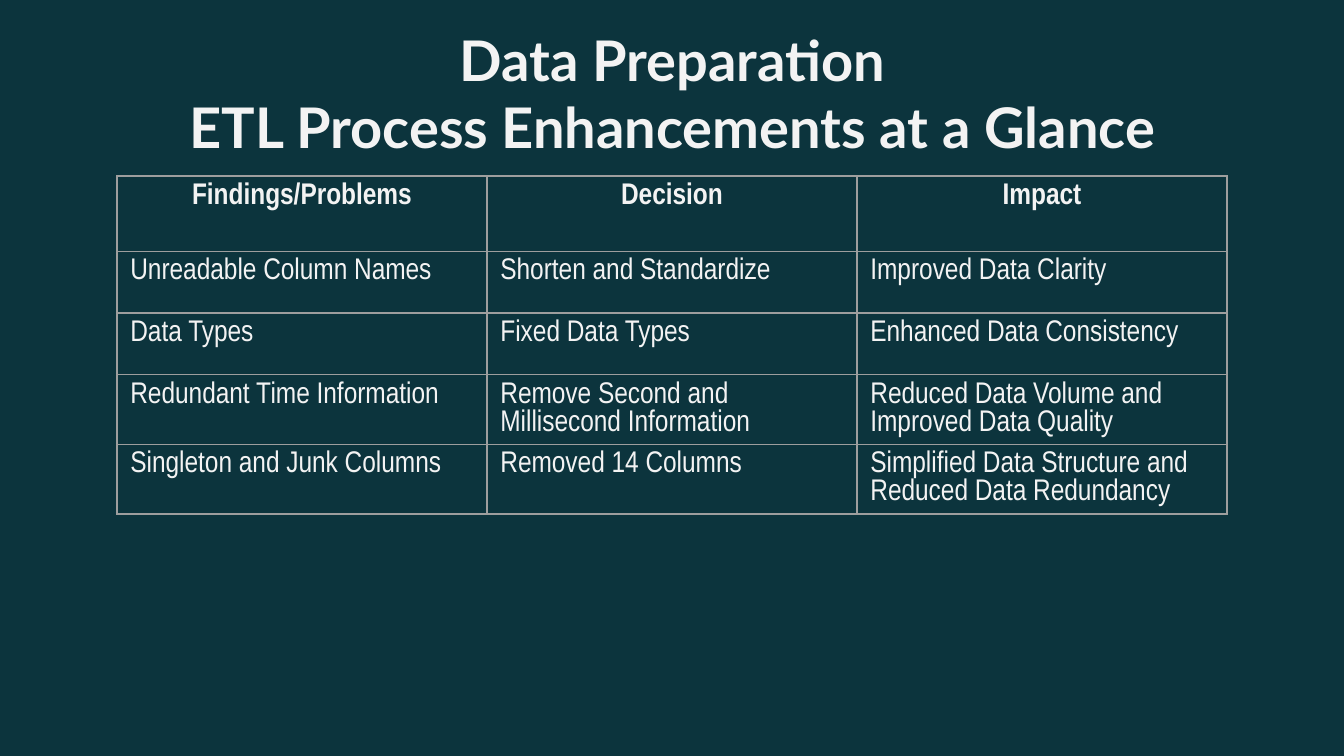
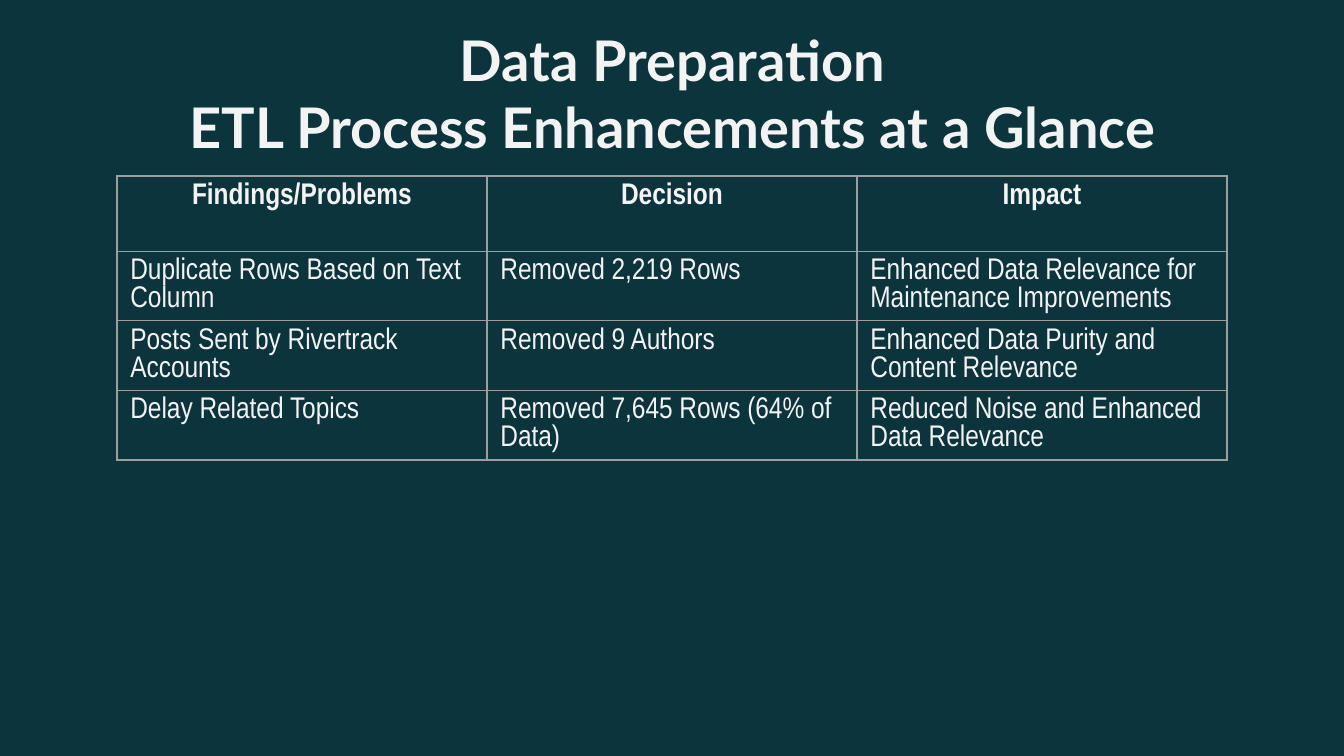
from lxml import etree
from pptx import Presentation
from pptx.dml.color import RGBColor
from pptx.enum.text import MSO_ANCHOR, MSO_AUTO_SIZE, PP_ALIGN
from pptx.oxml.ns import qn
from pptx.util import Inches, Pt

CENTER, LEFT = PP_ALIGN.CENTER, PP_ALIGN.LEFT
TOP = MSO_ANCHOR.TOP
NO_AUTOFIT = MSO_AUTO_SIZE.NONE

# Shared look
BACKGROUND, TEXT, BORDER = "0C343D", "F3F3F3", "9E9E9E"
TITLE_FONT, TABLE_FONT = "Lato", "Arial Narrow"
TITLE_BOX = (0.79, 0.09, 8.43, 0.63)
TABLE_BOX = (0.87, 1.31, 8.26)
HEADER_HEIGHT, ROW_HEIGHT = 0.56, 0.46

TITLE = "Data Preparation\vETL Process Enhancements at a Glance"
HEADERS = ("Findings/Problems", "Decision", "Impact")

# Table rows of each slide
COLUMN_FIXES = [
    ("Unreadable Column Names", "Shorten and Standardize", "Improved Data Clarity"),
    ("Data Types", "Fixed Data Types", "Enhanced Data Consistency"),
    ("Redundant Time Information", "Remove Second and Millisecond Information",
     "Reduced Data Volume and Improved Data Quality"),
    ("Singleton and Junk Columns", "Removed 14 Columns",
     "Simplified Data Structure and Reduced Data Redundancy"),
]
ROW_FIXES = [
    ("Duplicate Rows Based on Text Column", "Removed 2,219 Rows",
     "Enhanced Data Relevance for Maintenance Improvements"),
    ("Posts Sent by Rivertrack Accounts", "Removed 9 Authors",
     "Enhanced Data Purity and Content Relevance"),
    ("Delay Related Topics", "Removed 7,645 Rows (64% of Data)",
     "Reduced Noise and Enhanced Data Relevance"),
]


def rgb(value):
    return RGBColor.from_string(value)


def format_paragraph(p, font, size, bold, align):
    p.alignment = align
    for r in p.runs:
        r.font.name = font
        r.font.size = Pt(size)
        r.font.bold = bold
        r.font.color.rgb = rgb(TEXT)


def add_borders(cell, color, width):
    tc_pr = cell._tc.get_or_add_tcPr()
    for side in ("a:lnL", "a:lnR", "a:lnT", "a:lnB"):
        ln = etree.SubElement(tc_pr, qn(side), w=str(Pt(width)))
        fill = etree.SubElement(ln, qn("a:solidFill"))
        etree.SubElement(fill, qn("a:srgbClr"), val=color)


def set_title(slide, text, box):
    sp = slide.shapes.title
    sp.left, sp.top, sp.width, sp.height = map(Inches, box)
    tf = sp.text_frame
    tf.text = text
    tf.word_wrap = True
    tf.auto_size = NO_AUTOFIT
    tf.vertical_anchor = TOP
    tf.margin_left = tf.margin_right = Inches(0.1)
    tf.margin_top = tf.margin_bottom = Inches(0.1)
    format_paragraph(tf.paragraphs[0], TITLE_FONT, 30, True, CENTER)


def add_findings_table(slide, rows, box):
    left, top, width = map(Inches, box)
    height = Inches(HEADER_HEIGHT + ROW_HEIGHT * len(rows))
    table = slide.shapes.add_table(
        len(rows) + 1, len(HEADERS), left, top, width, height).table
    table.first_row = table.horz_banding = False
    for i, values in enumerate([HEADERS, *rows]):
        is_header = i == 0
        table.rows[i].height = Inches(HEADER_HEIGHT if is_header else ROW_HEIGHT)
        for cell, value in zip(table.rows[i].cells, values):
            cell.text = value
            cell.vertical_anchor = TOP
            add_borders(cell, BORDER, 0.75)
            cell.fill.background()
            format_paragraph(cell.text_frame.paragraphs[0], TABLE_FONT, 16,
                             is_header, CENTER if is_header else LEFT)


def add_findings_slide(prs, rows):
    slide = prs.slides.add_slide(prs.slide_layouts.get_by_name("Title Only"))
    set_title(slide, TITLE, TITLE_BOX)
    add_findings_table(slide, rows, TABLE_BOX)


def main():
    prs = Presentation()
    # Widescreen, 16:9
    prs.slide_width = Inches(10)
    prs.slide_height = prs.slide_width * 9 // 16
    fill = prs.slide_master.background.fill
    fill.solid()
    fill.fore_color.rgb = rgb(BACKGROUND)
    for rows in (COLUMN_FIXES, ROW_FIXES):
        add_findings_slide(prs, rows)
    prs.save("out.pptx")


if __name__ == "__main__":
    main()
